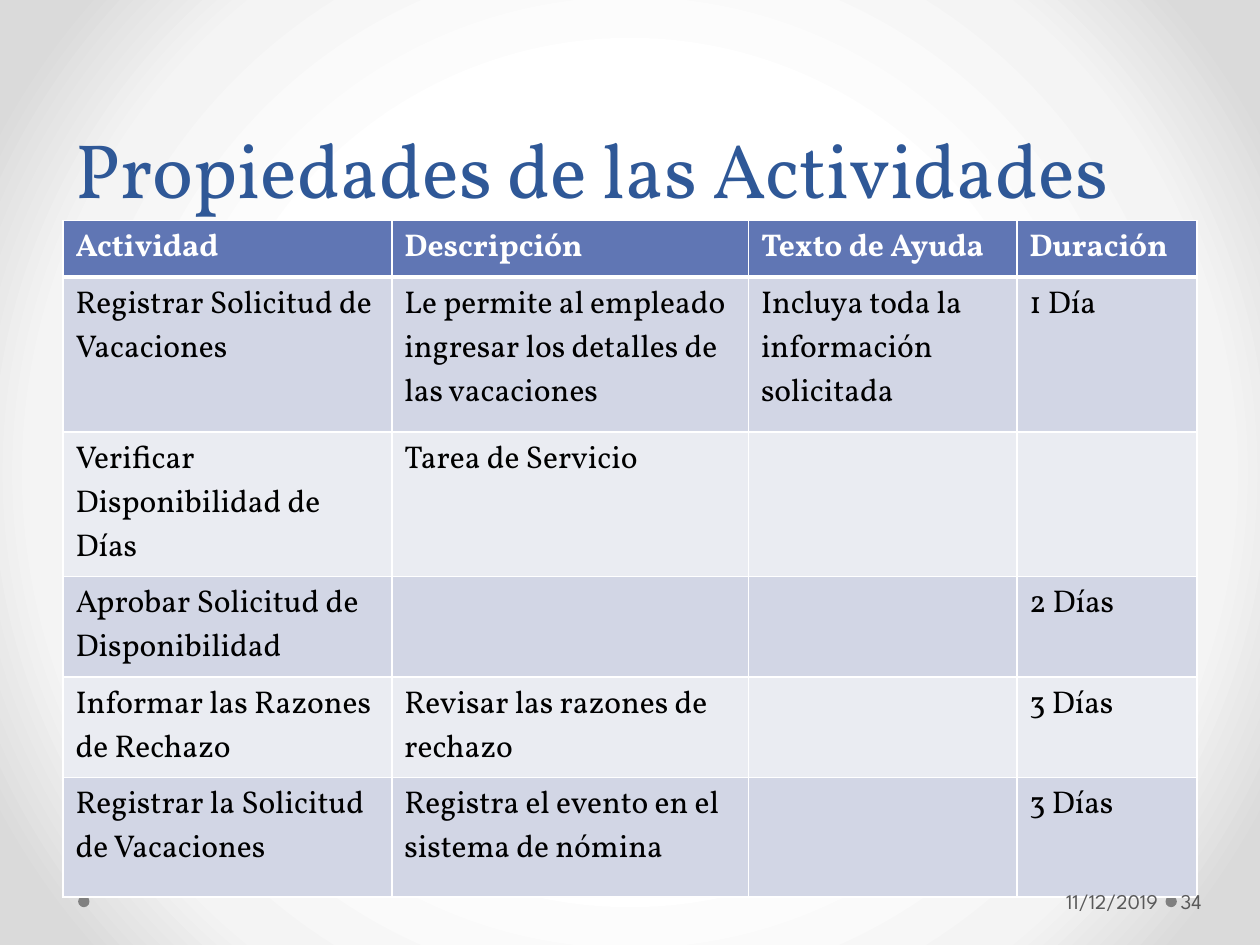
import pptx
import pptx.dml.color
import pptx.enum.shapes
import pptx.enum.text
import pptx.oxml
import pptx.oxml.ns
import pptx.util
from pptx.util import Inches

ALIGN = pptx.enum.text.PP_ALIGN
ANCHOR = pptx.enum.text.MSO_ANCHOR
NS = pptx.oxml.ns.nsdecls("a")

COLS = [2.61, 2.83, 2.13, 1.43]
HEIGHTS = [0.38, 1.23, 0.94, 0.66, 0.66, 0.95]
ROWS = [
    ["Actividad", "Descripción", "Texto de Ayuda", "Duración"],
    ["Registrar Solicitud de Vacaciones",
     "Le permite al empleado ingresar los detalles de las vacaciones",
     "Incluya toda la información solicitada", "1 Día"],
    ["Verificar Disponibilidad de Días", "Tarea de Servicio", "", ""],
    ["Aprobar Solicitud de Disponibilidad", "", "", "2 Días"],
    ["Informar las Razones de Rechazo", "Revisar las razones de rechazo", "", "3 Días"],
    ["Registrar la Solicitud de Vacaciones",
     "Registra el evento en el sistema de nómina", "", "3 Días"],
]


def rgb(code):
    return pptx.dml.color.RGBColor.from_string(code)


def write(frame, text, size=18, font="Vollkorn", color="000000", bold=False,
          align=ALIGN.LEFT, space=None):
    para = frame.paragraphs[0]
    para.alignment = align
    if space:
        para.line_spacing = pptx.util.Pt(space)
    run = para.add_run()
    run.text = text
    run.font.size = pptx.util.Pt(size)
    run.font.name = font
    run.font.bold = bold
    run.font.color.rgb = rgb(color)


def edge(cell, **widths):
    """Draw white cell borders; widths in points by side, in schema order."""
    props = cell._tc.get_or_add_tcPr()
    for spot, (side, width) in enumerate(widths.items()):
        props.insert(spot, pptx.oxml.parse_xml(
            f'<a:ln{side} {NS} w="{pptx.util.Pt(width)}"><a:solidFill>'
            f'<a:srgbClr val="FFFFFF"/></a:solidFill></a:ln{side}>'))


class Deck:
    title_color = "2F5897"
    head = "6076B4"
    bands = ["D2D6E5", "EAECF2"]
    dot_color = "808080"
    small = dict(size=12, font="League Spartan", color="595959")

    def __init__(self):
        self.file = pptx.Presentation()
        self.file.slide_width = Inches(10)
        self.file.slide_height = Inches(7.5)
        self.slide = self.file.slides.add_slide(self.file.slide_layouts[5])

    def back(self, stops):
        """Fill the background with a gradient spreading from the centre."""
        self.slide.background.fill.gradient()
        old = self.slide.element.find(".//" + pptx.oxml.ns.qn("a:gradFill"))
        marks = "".join(f'<a:gs pos="{at * 1000}"><a:srgbClr val="{color}"/></a:gs>'
                        for at, color in stops)
        old.getparent().replace(old, pptx.oxml.parse_xml(
            f'<a:gradFill {NS} rotWithShape="1"><a:gsLst>{marks}</a:gsLst>'
            '<a:path path="circle"><a:fillToRect l="50000" t="50000" r="50000" '
            'b="50000"/></a:path></a:gradFill>'))

    def title(self, text, *box):
        shape = self.slide.shapes.title
        shape.left, shape.top, shape.width, shape.height = map(Inches, box)
        frame = shape.text_frame
        frame.auto_size = pptx.enum.text.MSO_AUTO_SIZE.NONE
        frame.vertical_anchor = ANCHOR.BOTTOM
        write(frame, text, size=44, color=self.title_color, space=58)

    def dot(self, left, top, size=0.09):
        shape = self.slide.shapes.add_shape(
            pptx.enum.shapes.MSO_SHAPE.OVAL, *map(Inches, (left, top, size, size)))
        shape.shadow.inherit = False
        shape.fill.solid()
        shape.fill.fore_color.rgb = rgb(self.dot_color)
        shape.line.fill.background()

    def table(self, left, top):
        box = map(Inches, (left, top, sum(COLS), sum(HEIGHTS)))
        grid = self.slide.shapes.add_table(len(ROWS), len(COLS), *box).table
        grid.first_row = grid.horz_banding = False
        for col, width in zip(grid.columns, COLS):
            col.width = Inches(width)
        for i, (row, height) in enumerate(zip(ROWS, HEIGHTS)):
            grid.rows[i].height = Inches(height)
            for j, text in enumerate(row):
                cell = grid.cell(i, j)
                cell.fill.solid()
                cell.fill.fore_color.rgb = rgb(self.bands[(i - 1) % 2] if i else self.head)
                edge(cell, L=1, R=1, T=3 if i == 1 else 1, B=1 if i else 3)
                if text:
                    write(cell.text_frame, text, bold=i == 0,
                          color="000000" if i else "FFFFFF")

    def note(self, text, *box, inset=0.1, align=ALIGN.LEFT):
        frame = self.slide.shapes.add_textbox(*map(Inches, box)).text_frame
        frame.word_wrap = True
        frame.vertical_anchor = ANCHOR.MIDDLE
        frame.margin_left = Inches(inset)
        frame.margin_right = Inches(0.05)
        write(frame, text, align=align, **self.small)


def main():
    deck = Deck()
    deck.back([(50, "FFFFFF"), (76, "F4F4F4"), (92, "DADADA")])
    for left in (9.25, 0.62):
        deck.dot(left, 7.11)
    deck.title("Propiedades de las Actividades", 0.5, 0, 9, 1.75)
    deck.table(0.5, 1.75)
    deck.note("11/12/2019", 6.96, 6.95, 2.28, 0.4, align=ALIGN.RIGHT)
    deck.note("34", 9.34, 6.95, 0.61, 0.4, inset=0.03)
    deck.file.save("out.pptx")


if __name__ == "__main__":
    main()
